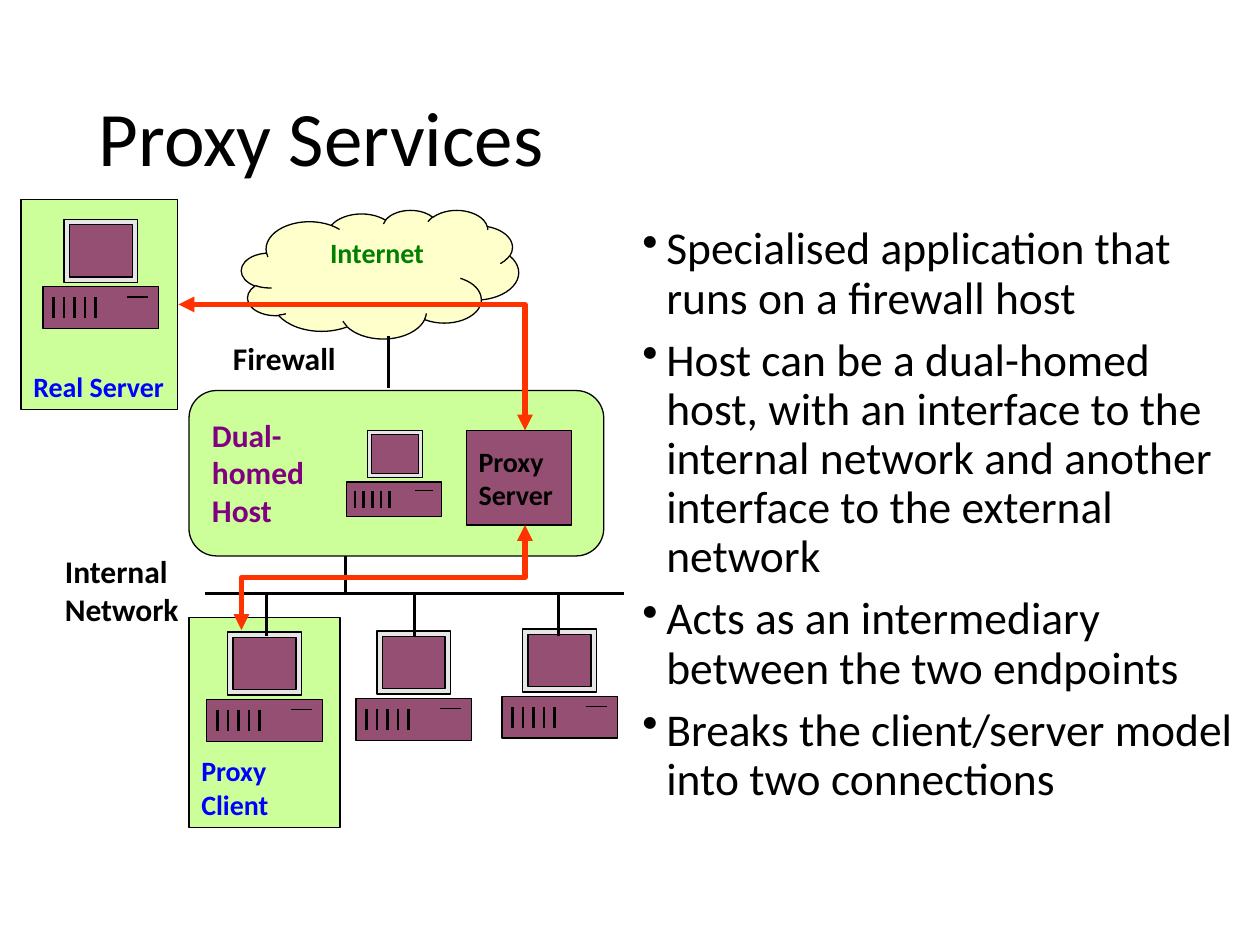
from lxml import etree
from pptx import Presentation
from pptx import util as u
from pptx.dml.color import RGBColor
from pptx.enum import shapes, text
from pptx.oxml.ns import qn

BLACK = RGBColor(0, 0, 0)
GREEN = RGBColor(0xCC, 0xFF, 0x99)
CREAM = RGBColor(0xFF, 0xFF, 0xCC)
PLUM = RGBColor(0x95, 0x4F, 0x72)
GREY = RGBColor(0xE7, 0xE6, 0xE6)
ORANGE = RGBColor(0xFF, 0x33, 0x00)
BLUE = RGBColor(0, 0, 0xFF)
PURPLE = RGBColor(0x80, 0, 0x80)
DARK_GREEN = RGBColor(0, 0x80, 0)

RECT = shapes.MSO_SHAPE.RECTANGLE
TOP, MIDDLE, BOTTOM = (text.MSO_ANCHOR.TOP, text.MSO_ANCHOR.MIDDLE,
                       text.MSO_ANCHOR.BOTTOM)

prs = Presentation()
prs.slide_width, prs.slide_height = u.Inches(10), u.Inches(7.5)
s = prs.slides.add_slide(prs.slide_layouts[6])
CELL = prs.slide_width / 120  # the slide is a grid of 120 columns by 90 rows


def box(x, y, w, h, kind=None, fill=None, lines=(), size=16, color=BLACK,
        bold=True, anchor=TOP):
    """Add a preset shape, or a text box when kind is None, in grid cells."""
    frame = [round(v * CELL) for v in (x, y, w, h)]
    if kind is None:
        sp = s.shapes.add_textbox(*frame)
    else:
        sp = s.shapes.add_shape(kind, *frame)
        sp.shadow.inherit = False
        sp.fill.solid()
        sp.fill.fore_color.rgb = fill
        sp.line.color.rgb = BLACK
        sp.line.width = u.Pt(0.75)
    tf = sp.text_frame
    tf.word_wrap = True
    tf.vertical_anchor = anchor
    for i, line_text in enumerate(lines):
        p = tf.add_paragraph() if i else tf.paragraphs[0]
        p.text = line_text
        p.alignment = text.PP_ALIGN.LEFT
        p.font.name, p.font.size, p.font.bold = "Calibri", u.Pt(size), bold
        p.font.color.rgb = color
    return sp


def line(x1, y1, x2, y2, width=1.5):
    c = s.shapes.add_connector(shapes.MSO_CONNECTOR.STRAIGHT,
                               *[round(v * CELL) for v in (x1, y1, x2, y2)])
    c.line.color.rgb = BLACK
    c.line.width = u.Pt(width)
    etree.SubElement(c._element.spPr, qn("a:effectLst"))


# Title and bullets
title = box(8.25, 4.75, 103.5, 17.5, lines=["Proxy Services"], size=44,
            bold=False, anchor=MIDDLE)
title.text_frame.paragraphs[0].line_spacing = 0.9

bullets = [
    "Specialised application that runs on a firewall host",
    "Host can be a dual-homed host, with an interface to the internal network "
    "and another interface to the external network",
    "Acts as an intermediary between the two endpoints",
    "Breaks the client/server model into two connections",
]
body = box(60, 20.9, 60, 61.2, lines=bullets, size=26, bold=False)
for i, p in enumerate(body.text_frame.paragraphs):
    p.line_spacing = 0.9
    p.space_before = u.Pt(7.5 if i else 0)
    pPr = p._p.get_or_add_pPr()
    pPr.set("marL", str(u.Inches(0.19)))
    pPr.set("indent", str(-u.Inches(0.19)))
    bullet = etree.Element(qn("a:buChar"), char="•")
    pPr.insert_element_before(bullet, "a:tabLst", "a:defRPr", "a:extLst")

# Panels
cloud = box(23, 20, 26.4, 12.25, shapes.MSO_SHAPE.CLOUD, CREAM, ["Internet"],
            color=DARK_GREEN)
cloud.text_frame.margin_left = u.Inches(0.4)
box(18, 58.8, 14.4, 20, RECT, GREEN, ["Proxy", "Client"], color=BLUE,
    anchor=BOTTOM)
box(18, 37.2, 39.5, 15.75, shapes.MSO_SHAPE.ROUNDED_RECTANGLE, GREEN)
box(44.4, 41, 10, 9, RECT, PLUM, ["Proxy", "Server"],
    anchor=MIDDLE).text_frame.margin_right = 0
real_server = box(2, 19, 14.9, 20, RECT, GREEN, ["Real Server"], color=BLUE,
                  anchor=BOTTOM)
real_server.text_frame.margin_right = 0

# Computers: left, top, monitor scale, base scale
computers = [
    (19.7, 60.2, 1, 1),
    (33.9, 60.1, 1, 1),
    (47.8, 59.9, 1, 1),
    (33, 41, 0.75, 0.82),
    (4.1, 20.9, 1, 1),
]
for x, y, m, b in computers:
    box(x + 2, y, 7 * m, 6 * m, RECT, GREY)
    box(x + 2 + 0.5 * m, y + 0.5 * m, 6 * m, 5 * m, RECT, PLUM)
    base = y + 6 * m + 0.4
    box(x, base, 11 * b, 4 * b, RECT, PLUM)
    line(x + 8 * b, base + b, x + 10 * b, base + b, 0.75)
    for slot in range(1, 6):
        line(x + slot * b, base + b, x + slot * b, base + 3 * b)

# Network lines
line(19.5, 56.5, 59.4, 56.5)
for x in (25.4, 39.5, 53.2):
    line(x, 56.5, x, 60.6)
line(32.9, 53, 32.9, 56.4)
line(37, 32, 37, 37)

# Labels
box(19, 39, 15, 12, lines=["Dual-homed Host"], size=18, color=PURPLE)
box(21, 31.7, 13.6, 4.8, lines=["Firewall"], size=18)
box(5, 52, 15, 8.4, lines=["Internal Network"], size=18)

# Proxy connections, with an arrowhead at both ends
routes = [
    [(17, 29), (50, 29), (50, 41)],
    [(50, 50), (50, 55), (23, 55), (23, 60)],
]
for route in routes:
    fb = s.shapes.build_freeform(*route[0], scale=CELL)
    fb.add_line_segments(route[1:], close=False)
    sp = fb.convert_to_shape()
    sp.shadow.inherit = False
    sp.fill.background()
    sp.line.color.rgb = ORANGE
    sp.line.width = u.Pt(3)
    for end in ("a:headEnd", "a:tailEnd"):
        etree.SubElement(sp.line._get_or_add_ln(), qn(end), type="triangle")

prs.save("out.pptx")
